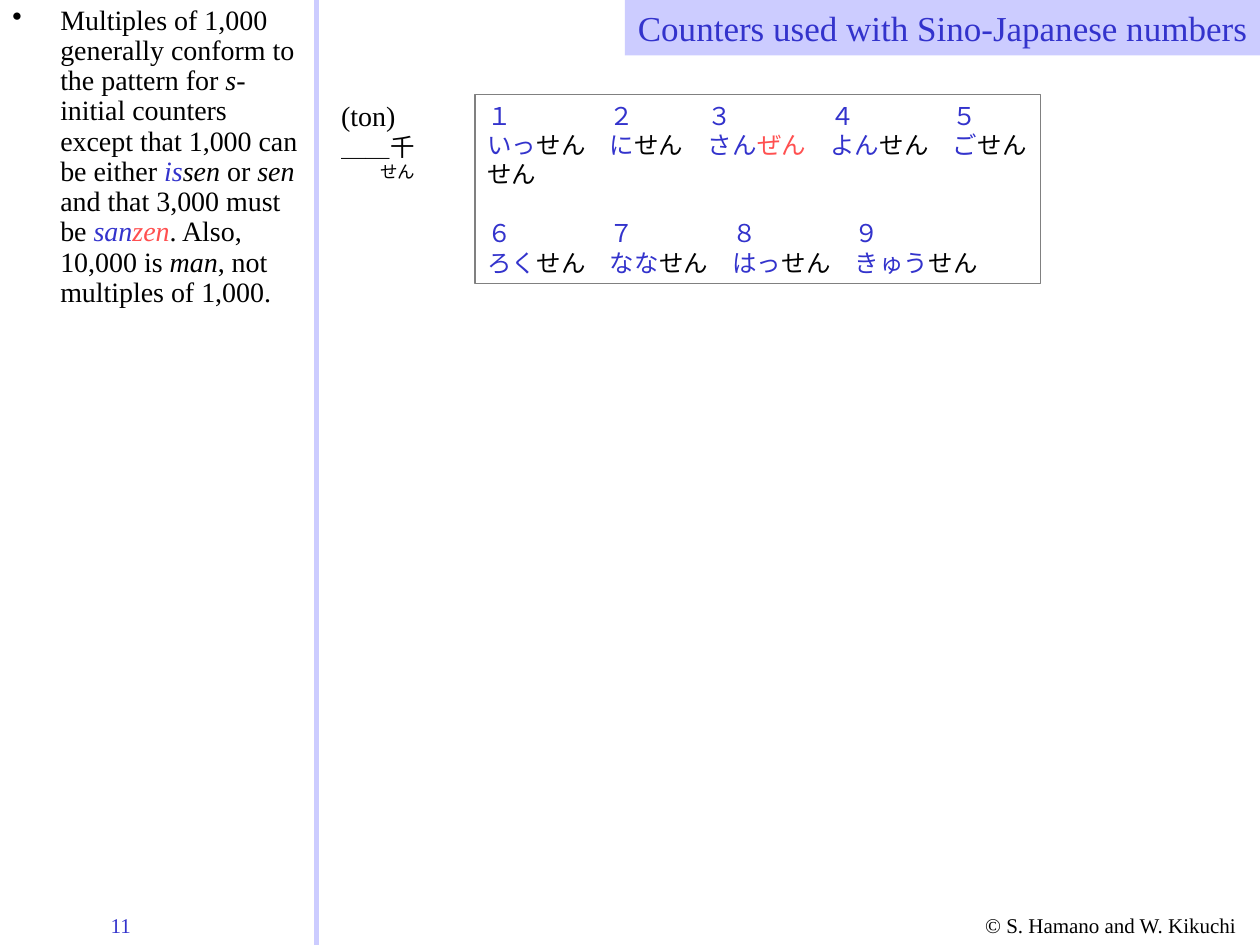
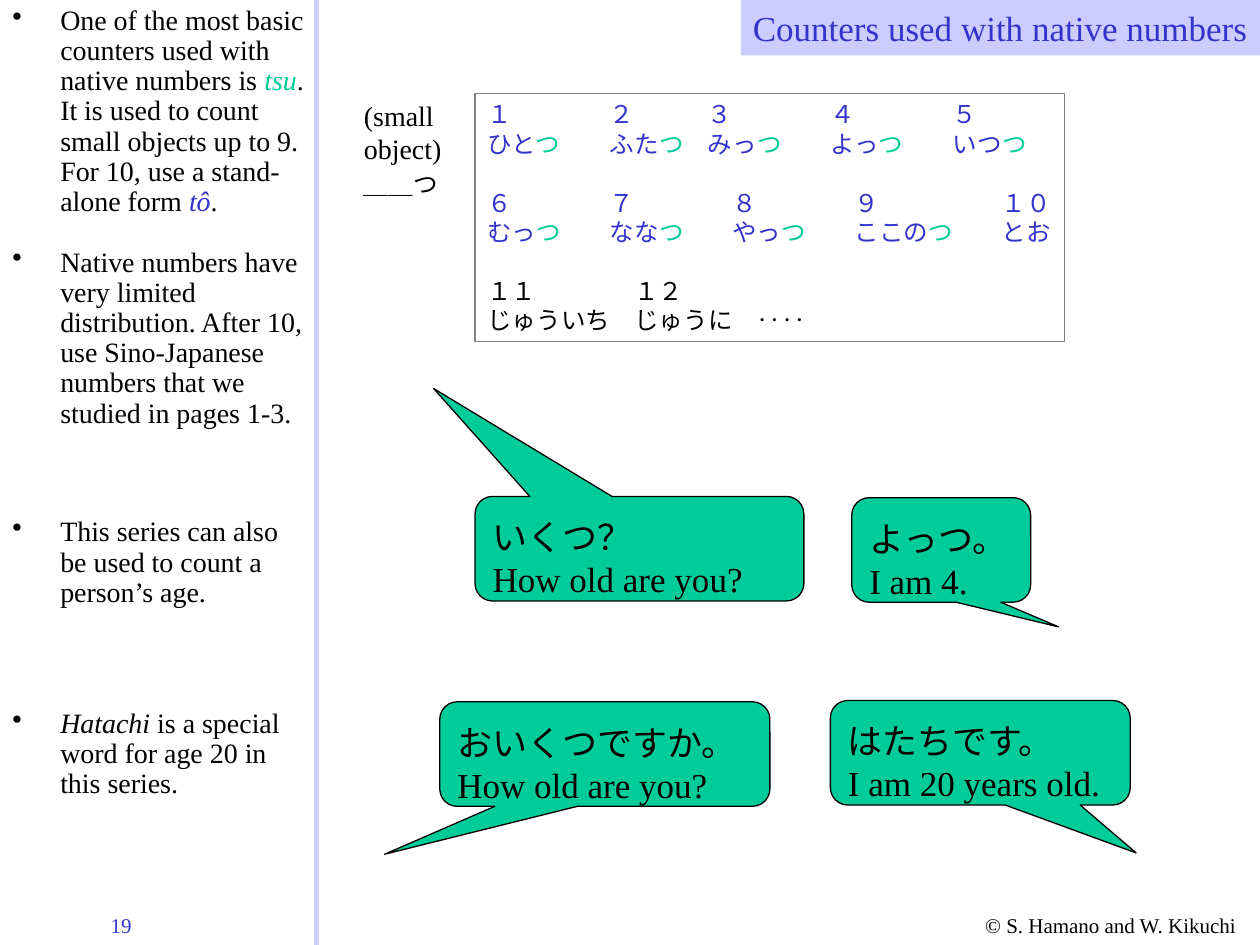
from lxml import etree
from pptx import Presentation
from pptx.dml.color import RGBColor
from pptx.enum.shapes import MSO_CONNECTOR, MSO_SHAPE
from pptx.enum.text import MSO_ANCHOR, PP_ALIGN
from pptx.oxml.ns import qn
from pptx.util import Inches, Pt

RECTANGLE = MSO_SHAPE.RECTANGLE
CALLOUT = MSO_SHAPE.ROUNDED_RECTANGULAR_CALLOUT
STRAIGHT = MSO_CONNECTOR.STRAIGHT
TOP = MSO_ANCHOR.TOP
LEFT, RIGHT = PP_ALIGN.LEFT, PP_ALIGN.RIGHT

BLACK = RGBColor(0x00, 0x00, 0x00)
BLUE = RGBColor(0x33, 0x33, 0xCC)
LAVENDER = RGBColor(0xCC, 0xCC, 0xFF)
GREEN = RGBColor(0x00, 0xCC, 0x99)
RED = RGBColor(0xFF, 0x50, 0x50)
GRAY = RGBColor(0x80, 0x80, 0x80)

SERIF = "Times New Roman"
KANA = "Noto Sans CJK JP"
KANA_SIZE = 14
KANA_LINE = 16.8
NOTE_GAP = 17.3

COPYRIGHT = "© S. Hamano and W. Kikuchi"
SUFFIX_COLOURS = {"せん": BLACK, "ぜん": RED, "つ": GREEN, "": BLACK}

SLIDES = [
    {
        "number": "11",
        "title": "Counters used with Sino-Japanese numbers",
        "title_left": 4.96,
        "notes": [
            (0, 2.61, [[
                ("Multiples of 1,000 generally conform to the pattern for ", BLACK, False),
                ("s", BLACK, True),
                ("-initial counters except that 1,000 can be either ", BLACK, False),
                ("is", BLUE, True),
                ("sen", BLACK, True),
                (" or ", BLACK, False),
                ("sen", BLACK, True),
                (" and that 3,000 must be ", BLACK, False),
                ("san", BLUE, True),
                ("zen", RED, True),
                (". Also, 10,000 is ", BLACK, False),
                ("man", BLACK, True),
                (", not multiples of 1,000.", BLACK, False),
            ]]),
        ],
        "label_at": (2.61, 0.73, 1.17, 0.77),
        "label": [
            ("(ton)", 16, SERIF, 19.2, 0),
            ("＿＿千", KANA_SIZE, KANA, KANA_LINE, 0),
            ("せん", 10, KANA, 12, 0.31),
        ],
        "table_at": (3.77, 0.75, 4.49, 1.5),
        "groups": [
            ((0, 5, 9, 14, 19), BLUE, [
                [("１", ""), ("２", ""), ("３", ""), ("４", ""), ("５", "")],
                [("いっ", "せん"), ("に", "せん"), ("さん", "ぜん"),
                 ("よん", "せん"), ("ご", "せん")],
                [("", "せん")],
            ]),
            ((0, 5, 10, 15), BLUE, [
                [("６", ""), ("７", ""), ("８", ""), ("９", "")],
                [("ろく", "せん"), ("なな", "せん"), ("はっ", "せん"), ("きゅう", "せん")],
            ]),
        ],
        "callouts": [],
    },
    {
        "number": "19",
        "title": "Counters used with native numbers",
        "title_left": 5.88,
        "notes": [
            (0, 3.79, [
                [
                    ("One of the most basic counters used with native numbers is ", BLACK, False),
                    ("tsu", GREEN, True),
                    (". It is used to count small objects up to 9. For 10, use a "
                     "stand-alone form ", BLACK, False),
                    ("tô", BLUE, True),
                    (".", BLACK, False),
                ],
                [("Native numbers have very limited distribution. After 10, use "
                  "Sino-Japanese numbers that we studied in pages 1-3.", BLACK, False)],
            ]),
            (4.06, 0.83, [
                [("This series can also be used to count a person’s age.", BLACK, False)],
            ]),
            (5.58, 0.87, [[
                ("Hatachi", BLACK, True),
                (" is a special word for age 20 in this series.", BLACK, False),
            ]]),
        ],
        "label_at": (2.79, 0.73, 0.81, 0.9),
        "label": [
            ("(small", 16, SERIF, 19.2, 0),
            ("object)", 16, SERIF, 19.2, 0),
            ("＿＿つ", KANA_SIZE, KANA, 19.2, 0),
        ],
        "table_at": (3.77, 0.74, 4.68, 1.97),
        "groups": [
            ((0, 5, 9, 14, 19), BLUE, [
                [("１", ""), ("２", ""), ("３", ""), ("４", ""), ("５", "")],
                [("ひと", "つ"), ("ふた", "つ"), ("みっ", "つ"), ("よっ", "つ"), ("いつ", "つ")],
            ]),
            ((0, 5, 10, 15, 21), BLUE, [
                [("６", ""), ("７", ""), ("８", ""), ("９", ""), ("１０", "")],
                [("むっ", "つ"), ("なな", "つ"), ("やっ", "つ"), ("ここの", "つ"), ("とお", "")],
            ]),
            ((0, 6, 11), BLACK, [
                [("１１", ""), ("１２", "")],
                [("じゅういち", ""), ("じゅうに", ""), ("‥‥", "")],
            ]),
        ],
        "callouts": [
            ((3.77, 3.94, 2.61, 0.83), (-0.626, -1.532), "いくつ？", "How old are you?"),
            ((6.76, 3.95, 1.42, 0.83), (0.656, 0.736), "よっつ。", "I am 4."),
            ((3.49, 5.57, 2.62, 0.83), (-0.667, 0.958), "おいくつですか。", "How old are you?"),
            ((6.59, 5.56, 2.38, 0.83), (0.52, 0.958), "はたちです。", "I am 20 years old."),
        ],
    },
]


def set_frame(shape, right=0):
    frame = shape.text_frame
    frame.word_wrap = True
    frame.vertical_anchor = TOP
    frame.margin_left, frame.margin_right = Inches(0.1), Inches(right)
    frame.margin_top = frame.margin_bottom = Inches(0.05)
    return frame


def add_text(page, at, right=0):
    return set_frame(page.shapes.add_textbox(*map(Inches, at)), right)


def add_box(page, kind, at, fill=None, line=None):
    box = page.shapes.add_shape(kind, *map(Inches, at))
    box.shadow.inherit = False
    if fill is None:
        box.fill.background()
    else:
        box.fill.solid()
        box.fill.fore_color.rgb = fill
    if line is None:
        box.line.fill.background()
    else:
        box.line.color.rgb = line
        box.line.width = Pt(0.75)
    return box


def next_para(frame):
    first = frame.paragraphs[0]
    return frame.add_paragraph() if first.runs else first


def write(para, spans, size, name=SERIF, align=LEFT):
    para.alignment = align
    para.font.size = Pt(size)
    para.font.name = name
    defaults = para._p.pPr.find(qn("a:defRPr"))
    etree.SubElement(defaults, qn("a:ea")).set("typeface", KANA)
    for text, colour, italic in spans:
        span = para.add_run()
        span.text = text
        span.font.size = Pt(size)
        span.font.name = name
        span.font.italic = italic
        span.font.color.rgb = colour
        east_asian = etree.SubElement(span._r.rPr, qn("a:ea"))
        east_asian.set("typeface", KANA)


def add_bullet(para):
    props = para._p.get_or_add_pPr()
    props.set("marL", str(Inches(0.38)))
    props.set("indent", str(-Inches(0.38)))
    colour = etree.SubElement(props, qn("a:buClr"))
    etree.SubElement(colour, qn("a:srgbClr")).set("val", str(BLACK))
    etree.SubElement(props, qn("a:buChar")).set("char", "•")


def add_tabs(para, columns):
    tabs = etree.SubElement(para._p.get_or_add_pPr(), qn("a:tabLst"))
    for column in columns[1:]:
        tab = etree.SubElement(tabs, qn("a:tab"))
        tab.set("pos", str(column * Pt(KANA_SIZE)))
        tab.set("algn", "l")


def add_common(page, number, title, title_left):
    for at, text, colour in [
        ((7.72, 7.19, 2.28, 0.3), COPYRIGHT, BLACK),
        ((0.78, 7.19, 0.89, 0.3), number, BLUE),
    ]:
        write(add_text(page, at).paragraphs[0], [(text, colour, False)], 12)

    divider = page.shapes.add_connector(
        STRAIGHT, Inches(2.51), 0, Inches(2.51), Inches(7.5))
    divider.line.color.rgb = LAVENDER
    divider.line.width = Pt(3)
    etree.SubElement(divider._element.spPr, qn("a:effectLst"))

    band = add_box(page, RECTANGLE, (title_left, 0, 10 - title_left, 0.44), LAVENDER)
    frame = set_frame(band, 0.1)
    frame.margin_left = 0
    write(frame.paragraphs[0], [(title, BLUE, False)], 20, align=RIGHT)


def add_notes(page, top, height, notes):
    frame = add_text(page, (0, top, 2.51, height), 0.1)
    for index, spans in enumerate(notes):
        para = next_para(frame)
        add_bullet(para)
        para.line_spacing = 0.9
        if index:
            para.space_before = Pt(NOTE_GAP)
        write(para, spans, 16)


def add_label(page, at, lines):
    frame = add_text(page, at)
    for text, size, name, spacing, indent in lines:
        para = next_para(frame)
        para._p.get_or_add_pPr().set("marL", str(Inches(indent)))
        para.line_spacing = Pt(spacing)
        write(para, [(text, BLACK, False)], size, name)


def add_counter_table(page, at, groups):
    frame = set_frame(add_box(page, RECTANGLE, at, line=GRAY))
    for group_index, (columns, stem_colour, rows) in enumerate(groups):
        for row_index, cells in enumerate(rows):
            para = next_para(frame)
            add_tabs(para, columns)
            para.line_spacing = Pt(KANA_LINE)
            if group_index and row_index == 0:
                para.space_before = Pt(KANA_LINE)
            spans = []
            for cell_index, (stem, suffix) in enumerate(cells):
                lead = "\t" if cell_index else ""
                spans.append((lead + stem, stem_colour, False))
                spans.append((suffix, SUFFIX_COLOURS[suffix], False))
            write(para, [span for span in spans if span[0]], KANA_SIZE, KANA)


def add_callout(page, at, tip, japanese, english):
    bubble = add_box(page, CALLOUT, at, GREEN, BLACK)
    for index, value in enumerate((*tip, 0.167)):
        bubble.adjustments[index] = value
    frame = set_frame(bubble)
    for text, spacing in [(japanese, 28.6), (english, 24)]:
        para = next_para(frame)
        para.line_spacing = Pt(spacing)
        write(para, [(text, BLACK, False)], 20)


def main():
    deck = Presentation()
    deck.slide_width, deck.slide_height = Inches(10), Inches(7.5)
    for content in SLIDES:
        page = deck.slides.add_slide(deck.slide_layouts[6])
        add_common(page, content["number"], content["title"], content["title_left"])
        for note in content["notes"]:
            add_notes(page, *note)
        add_label(page, content["label_at"], content["label"])
        add_counter_table(page, content["table_at"], content["groups"])
        for callout in content["callouts"]:
            add_callout(page, *callout)
    deck.save("out.pptx")


if __name__ == "__main__":
    main()
